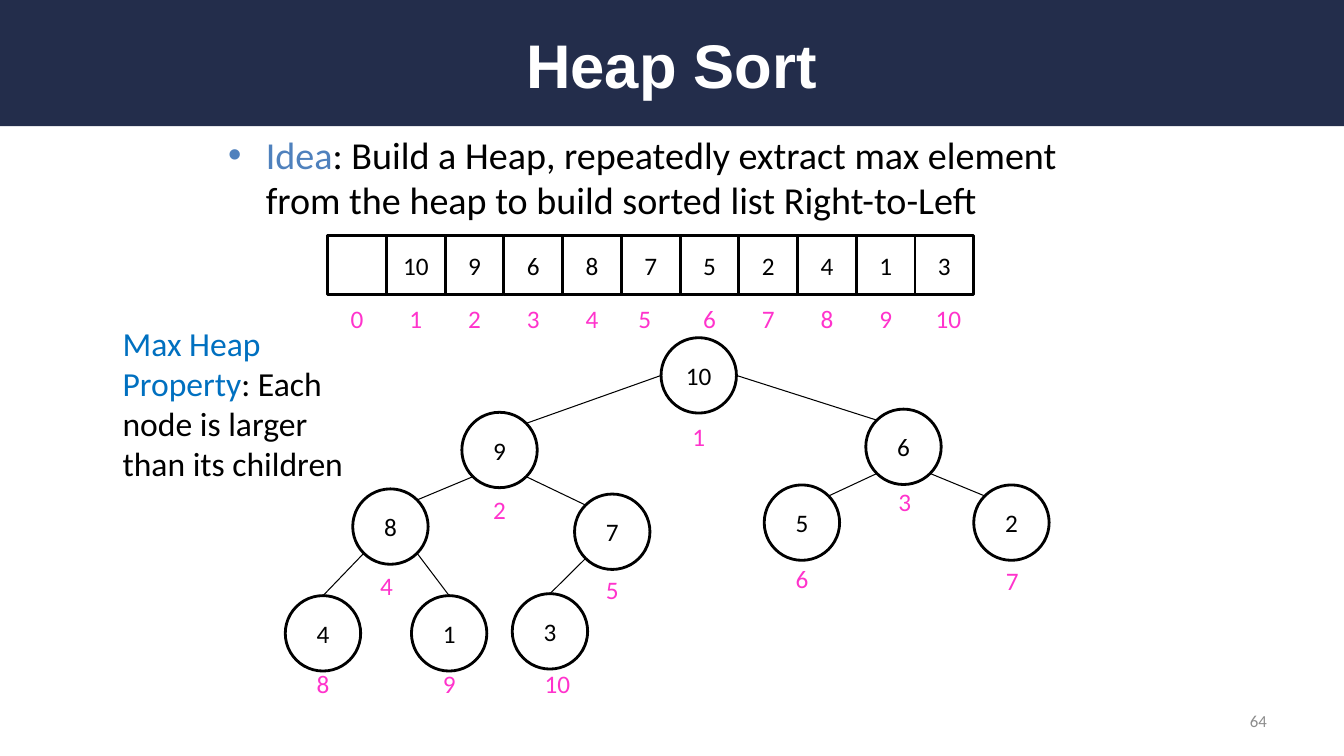
from lxml import etree
from pptx import Presentation
from pptx.dml.color import RGBColor
from pptx.enum import shapes, text
from pptx.oxml import ns
from pptx.util import Cm, Pt

COLORS = {
    "navy": "232D4B", "white": "FFFFFF", "black": "000000", "gray": "8C8C8C",
    "idea": "4F81BD", "property": "0070C0", "index": "FF33CC",
}
LEFT, CENTER, RIGHT = text.PP_ALIGN.LEFT, text.PP_ALIGN.CENTER, text.PP_ALIGN.RIGHT
TOP, MIDDLE = text.MSO_ANCHOR.TOP, text.MSO_ANCHOR.MIDDLE
RECT, OVAL = shapes.MSO_SHAPE.RECTANGLE, shapes.MSO_SHAPE.OVAL


def write(sp, runs, size, align=CENTER, anchor=MIDDLE, wrap=True, font="Calibri", bold=False):
    tf = sp.text_frame
    for name, value in {"word_wrap": wrap, "vertical_anchor": anchor}.items():
        setattr(tf, name, value)
    p = tf.paragraphs[0]
    p.alignment = align
    for content, color in runs:
        r = p.add_run()
        r.text = content
        for name, value in {"name": font, "size": Pt(size), "bold": bold}.items():
            setattr(r.font, name, value)
        r.font.color.rgb = RGBColor.from_string(COLORS[color])
    return p


def outlined(parent, kind, left, top, size, label, filled=True):
    sp = parent.add_shape(kind, Cm(left), Cm(top), Cm(size), Cm(size))
    sp.shadow.inherit = False
    if filled:
        sp.fill.solid()
        sp.fill.fore_color.rgb = RGBColor.from_string(COLORS["white"])
    else:
        sp.fill.background()
    sp.line.color.rgb = RGBColor.from_string(COLORS["black"])
    sp.line.width = Pt(2)
    if label:
        write(sp, [(label, "black")], 18)


prs = Presentation()
prs.slide_width, prs.slide_height = Cm(33.87), Cm(19.05)
s = prs.slides.add_slide(prs.slide_layouts[5])

banner = s.shapes.add_shape(RECT, 0, 0, prs.slide_width, Cm(3.18))
banner.shadow.inherit = False
banner.fill.solid()
banner.fill.fore_color.rgb = RGBColor.from_string(COLORS["navy"])
banner.line.fill.background()
s.shapes._spTree.insert(2, banner._element)

title = s.shapes.title
for name, value in {"left": 1.69, "top": 0.43, "width": 30.48, "height": 2.34}.items():
    setattr(title, name, Cm(value))
write(title, [("Heap Sort", "white")], 44, font="Arial", bold=True)

idea = s.shapes.add_textbox(Cm(5.5), Cm(2.97), Cm(22.86), Cm(2.97))
p = write(idea, [
    ("Idea", "idea"),
    (": Build a Heap, repeatedly extract max element from the heap "
     "to build sorted list Right-to-Left", "black"),
], 27.2, LEFT)
pPr = p._p.get_or_add_pPr()
pPr.set("marL", str(Cm(0.95)))
pPr.set("indent", str(-Cm(0.95)))
etree.SubElement(pPr, ns.qn("a:buFont")).set("typeface", "Arial")
etree.SubElement(pPr, ns.qn("a:buChar")).set("char", "•")

number = s.shapes.add_textbox(Cm(24.28), Cm(17.65), Cm(7.9), Cm(1.02))
write(number, [("64", "gray")], 12, RIGHT)

heap = [10, 9, 6, 8, 7, 5, 2, 4, 1, 3]
centers = [
    (17.61, 9.46), (12.59, 11.34), (22.77, 11.26), (9.84, 13.27), (15.43, 13.4),
    (20.21, 13.17), (25.49, 13.17), (8.14, 15.96), (11.32, 15.96), (13.86, 15.91),
]
radius = 0.95
diagonal = radius * 0.5 ** 0.5

for value, (x, y) in zip(heap, centers):
    outlined(s.shapes, OVAL, x - radius, y - radius, 2 * radius, str(value))

for child in range(2, len(heap) + 1):
    parent = child // 2
    side = -1 if child % 2 == 0 else 1
    (px, py), (cx, cy) = centers[parent - 1], centers[child - 1]
    out_x, out_y = (radius, 0) if parent == 1 else (diagonal, diagonal)
    in_x, in_y = (0, radius) if child >= 8 else (diagonal, diagonal)
    edge = s.shapes.add_connector(
        shapes.MSO_CONNECTOR.STRAIGHT,
        Cm(px + side * out_x), Cm(py + out_y), Cm(cx - side * in_x), Cm(cy - in_y))
    edge.line.color.rgb = RGBColor.from_string(COLORS["black"])
    edge.line.width = Pt(0.75)
    etree.SubElement(edge._element.spPr, ns.qn("a:effectLst"))

cell = 1.48
array_left, array_top = 8.26, 5.94
array = s.shapes.add_group_shape()
for i, value in enumerate([""] + heap):
    outlined(array.shapes, RECT, array_left + i * cell, array_top, cell, str(value), i < 2)

prop = s.shapes.add_textbox(Cm(2.84), Cm(8), Cm(6.15), Cm(4.37))
write(prop, [
    ("Max Heap Property", "property"),
    (": Each node is larger than its children", "black"),
], 24, LEFT, TOP)

nudges = {5: -0.15, 10: 0.1}
indexes = [
    (i, array_left + (i + 0.5) * cell + nudges.get(i, 0), 7.52) for i in range(len(heap) + 1)
] + [
    (1, 17.61, 10.49), (2, 12.59, 12.32), (3, 22.8, 12.14), (4, 9.74, 14.25),
    (5, 15.43, 14.35), (6, 20.21, 14.07), (7, 25.51, 14.12), (8, 8.14, 16.71),
    (9, 11.32, 16.71), (10, 14.05, 16.71),
]
for i, x, y in indexes:
    width = 0.84 if i < 10 else 1.17
    label = s.shapes.add_textbox(Cm(x - width / 2), Cm(y), Cm(width), Cm(1.02))
    write(label, [(str(i), "index")], 18, anchor=TOP, wrap=False)

prs.save("out.pptx")
